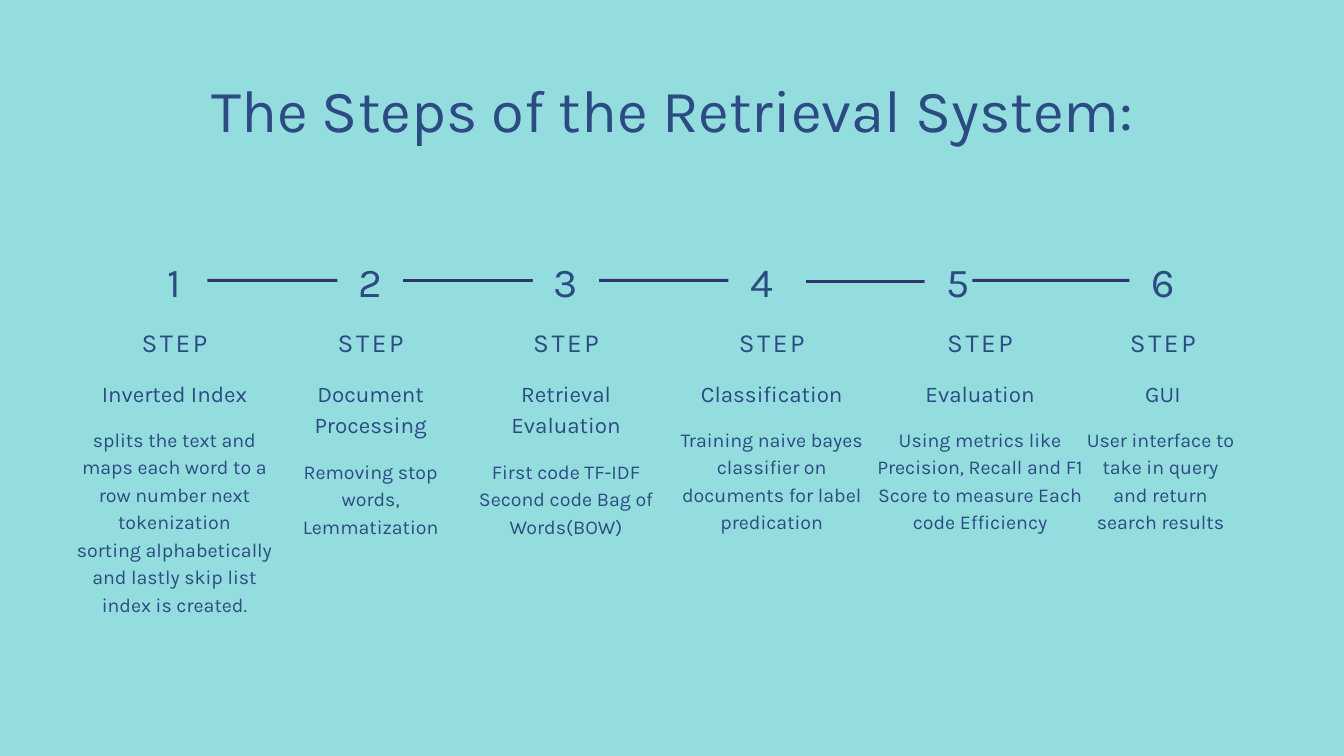
from dataclasses import dataclass

from lxml import etree
from pptx import Presentation
from pptx.dml.color import RGBColor
from pptx.enum.shapes import MSO_CONNECTOR, MSO_SHAPE
from pptx.enum.text import MSO_ANCHOR, MSO_AUTO_SIZE, PP_ALIGN
from pptx.oxml.ns import qn
from pptx.util import Cm, Pt


@dataclass(frozen=True)
class Theme:
    font: str = "Karla"
    background: RGBColor = RGBColor(0x94, 0xDD, 0xDE)
    ink: RGBColor = RGBColor(0x2B, 0x4B, 0x82)
    line: RGBColor = RGBColor(0x31, 0x35, 0x6E)
    line_width: float = 3
    title: int = 64
    number: int = 44
    label: int = 28
    heading: int = 24
    body: int = 21


theme = Theme()


def write(text, size, shape=None, box=None, leading=1.4, spacing=0,
          anchor=MSO_ANCHOR.TOP):
    """Write centred text in a shape, or in a new text box, at box (cm)."""
    sp = shape if shape is not None else s.shapes.add_textbox(0, 0, 0, 0)
    sp.left, sp.top, sp.width, sp.height = (Cm(v) for v in box)
    tf = sp.text_frame
    tf.word_wrap = True
    tf.auto_size = MSO_AUTO_SIZE.NONE
    tf.vertical_anchor = anchor
    tf.margin_left = tf.margin_right = tf.margin_top = tf.margin_bottom = 0
    for i, content in enumerate(text.split("\n")):
        p = tf.paragraphs[0] if i == 0 else tf.add_paragraph()
        p.alignment = PP_ALIGN.CENTER
        p.line_spacing = Pt(size * leading)
        r = p.add_run()
        r.text = content
        r.font.name = theme.font
        r.font.size = Pt(size)
        r.font.color.rgb = theme.ink
        if spacing:
            r.font._element.set("spc", str(round(spacing * 100)))


def add_line(x1, x2, y):
    c = s.shapes.add_connector(MSO_CONNECTOR.STRAIGHT, Cm(x1), Cm(y), Cm(x2), Cm(y))
    c.line.color.rgb = theme.line
    c.line.width = Pt(theme.line_width)
    etree.SubElement(c._element.spPr, qn("a:effectLst"))
    return c


prs = Presentation()
prs.slide_width, prs.slide_height = Cm(50.8), Cm(28.58)
s = prs.slides.add_slide(prs.slide_layouts[5])
s.background.fill.solid()
s.background.fill.fore_color.rgb = theme.background

# Title
write("The Steps of the Retrieval System:", theme.title, shape=s.shapes.title,
      box=(3, 3.1, 44.83, 2.46), leading=1.05)

# Steps: number left, column left and width, body left and width, heading, body
steps = [
    (5.33, 2.72, 7.75, 2.72, 7.75, "Inverted Index",
     "splits the text and\nmaps each word to a row number next tokenization\n"
     "sorting alphabetically and lastly skip list index is created."),
    (12.75, 10.67, 6.68, 10.67, 6.68, "Document Processing",
     "Removing stop words,\nLemmatization"),
    (20.14, 17.98, 6.83, 17.98, 6.83, "Retrieval Evaluation",
     "First code TF-IDF\nSecond code Bag of Words(BOW)"),
    (27.53, 25.45, 7.44, 25.45, 7.44, "Classification",
     "Training naive bayes classifier on documents for label predication"),
    (34.95, 33.12, 7.85, 33.12, 7.85, "Evaluation",
     "Using metrics like Precision, Recall and F1 Score to measure Each code Efficiency"),
    (42.7, 40.03, 7.85, 40.97, 5.79, "GUI",
     "User interface to take in query and return search results"),
]
TILE_W, TILE_H, LINE_Y = 2.51, 2.46, 10.6
two_line_headings = {2, 3}

# Lines leading to steps 2-6: from, to, height; some run behind the next tile
lines = {2: (7.84, 12.75, LINE_Y), 3: (15.24, 21.39, LINE_Y),
         4: (22.65, 28.79, LINE_Y), 5: (30.45, 35.36, 10.64),
         6: (36.75, 42.7, LINE_Y)}
tiles, connectors = {}, {}

for n, (num_x, x, w, body_x, body_w, heading, body) in enumerate(steps, 1):
    # Line and the tile that masks it behind the number
    if n in lines:
        connectors[n] = add_line(*lines[n])
    if n != 2:
        tile = s.shapes.add_shape(MSO_SHAPE.RECTANGLE, Cm(num_x), Cm(LINE_Y - TILE_H / 2),
                                  Cm(TILE_W), Cm(TILE_H))
        tile.shadow.inherit = False
        tile.fill.solid()
        tile.fill.fore_color.rgb = theme.background
        tile.line.fill.background()
        tiles[n] = tile

    # Number, label, heading and body
    write(str(n), theme.number, box=(num_x, 9.14, TILE_W, 2.69), spacing=7.5,
          anchor=MSO_ANCHOR.MIDDLE)
    write("STEP", theme.label, box=(x, 12.14, w, 1.3), spacing=2.8)
    rows = 2 if n in two_line_headings else 1
    write(heading, theme.heading, box=(x, 14.2, w, 1.14 * rows))
    write(body, theme.body, box=(body_x, 14.83 + 1.2 * rows, body_w, 7.1 if n == 1 else 4.1))

# Join the lines that end at the middle of a tile's side
connectors[2].begin_connect(tiles[1], 3)
connectors[4].begin_connect(tiles[3], 3)
connectors[6].end_connect(tiles[6], 1)

prs.save("out.pptx")
